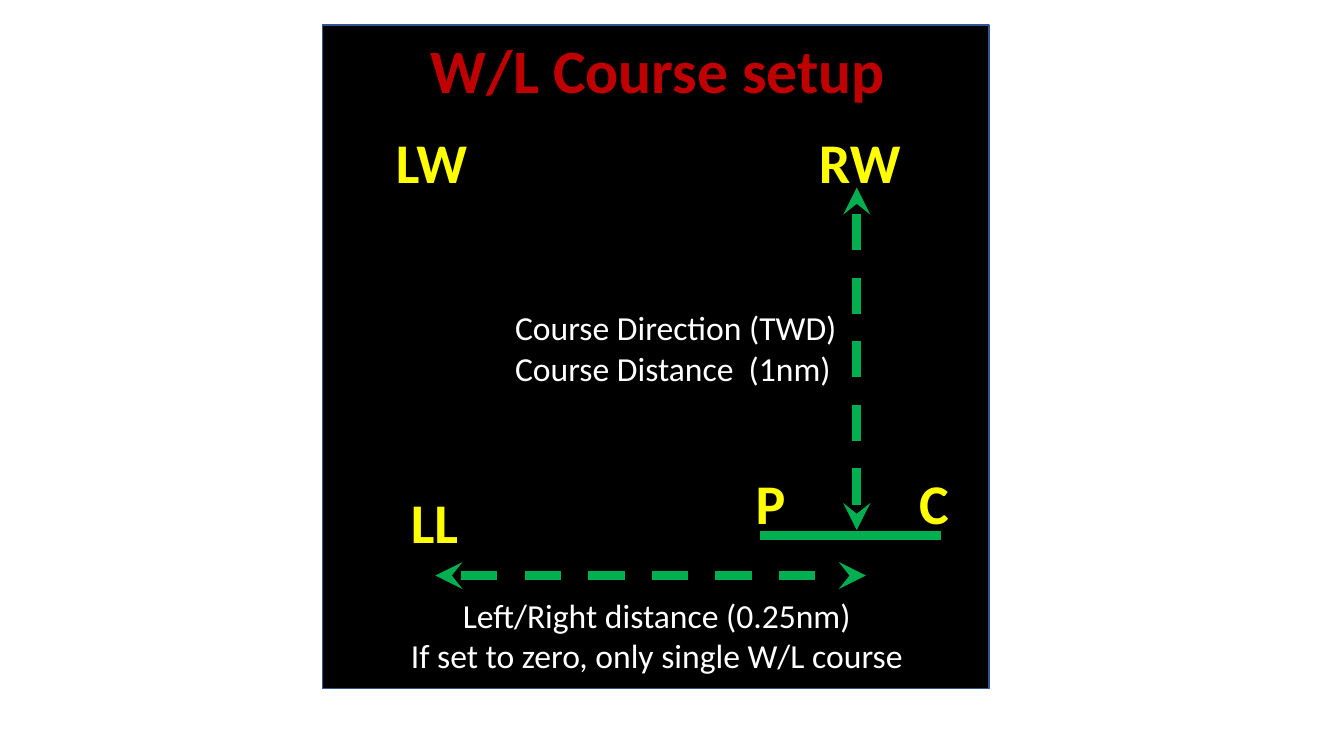
from lxml import etree
from pptx import Presentation
from pptx.dml.color import RGBColor
from pptx.enum.dml import MSO_LINE
from pptx.enum.shapes import MSO_CONNECTOR, MSO_SHAPE
from pptx.enum.text import MSO_AUTO_SIZE, PP_ALIGN
from pptx.oxml.ns import qn
from pptx.util import Inches, Pt

RECT, STRAIGHT, DASH = MSO_SHAPE.RECTANGLE, MSO_CONNECTOR.STRAIGHT, MSO_LINE.DASH
LEFT, CENTER = PP_ALIGN.LEFT, PP_ALIGN.CENTER
FIT = MSO_AUTO_SIZE.SHAPE_TO_FIT_TEXT
YELLOW, GREEN, WHITE, RED = "FFFF00", "00B050", "FFFFFF", "C00000"

prs = Presentation()
prs.slide_width, prs.slide_height = Inches(13.33), Inches(7.5)
s = prs.slides.add_slide(prs.slide_layouts[6])


def color(value):
    return RGBColor.from_string(value)


def share(x, y, *more):
    """Turn percentages of the slide's width and height into lengths."""
    sizes = (prs.slide_width, prs.slide_height)
    return [int(sizes[i % 2] * v / 100) for i, v in enumerate((x, y, *more))]


# Black panel
sp = s.shapes.add_shape(RECT, *share(24, 3.33, 49.59, 87.73))
sp.shadow.inherit = False
sp.fill.solid()
sp.fill.fore_color.rgb = color("000000")
sp.line.color.rgb = color("325491")
sp.line.width = Pt(1)

# Course lines: start, end, whether a dashed double arrow
lines = [
    ((56.55, 70.8), (70.05, 70.8), False),     # start line
    ((32.4, 76.13), (64.43, 76.13), True),     # left/right distance
    ((63.75, 70.13), (63.75, 24.8), True),     # course distance
]
for start, end, arrow in lines:
    cxn = s.shapes.add_connector(STRAIGHT, *share(*start, *end))
    cxn.line.color.rgb = color(GREEN)
    cxn.line.width = Pt(6.5)
    if arrow:
        cxn.line.dash_style = DASH
        ln = cxn.line._get_or_add_ln()
        for tag in ("a:headEnd", "a:tailEnd"):
            etree.SubElement(ln, qn(tag), type="stealth")
    etree.SubElement(cxn._element.spPr, qn("a:effectLst"))

# Marks, notes and title: text, box, size, colour, bold, alignment
mark = (40, YELLOW, True, CENTER)
note = (24, WHITE, False)
texts = [
    ("C", (66.15, 61.33, 6.68, 10.27), *mark),
    ("P", (54, 61.33, 6.68, 10.27), *mark),
    ("RW", (58.5, 16.27, 10.95, 10.27), *mark),
    ("LW", (26.63, 16.27, 10.95, 10.27), *mark),
    ("LL", (26.85, 63.87, 10.95, 10.27), *mark),
    ("Course Direction (TWD)\nCourse Distance  (1nm)",
     (37.58, 40, 26.85, 12.13), *note, LEFT),
    ("Left/Right distance (0.25nm)\vIf set to zero, only single W/L course",
     (25.8, 78, 46.14, 12.13), *note, CENTER),
    ("W/L Course setup", (27.83, 3.6, 42.3, 11.2), 44, RED, True, CENTER),
]
for text, box, size, hue, bold, align in texts:
    tf = s.shapes.add_textbox(*share(*box)).text_frame
    tf.word_wrap = True
    tf.auto_size = FIT
    tf.text = text
    for p in tf.paragraphs:
        p.alignment = align
        p.font.name = "Calibri"
        p.font.size = Pt(size)
        p.font.bold = bold
        p.font.color.rgb = color(hue)

prs.save("out.pptx")
